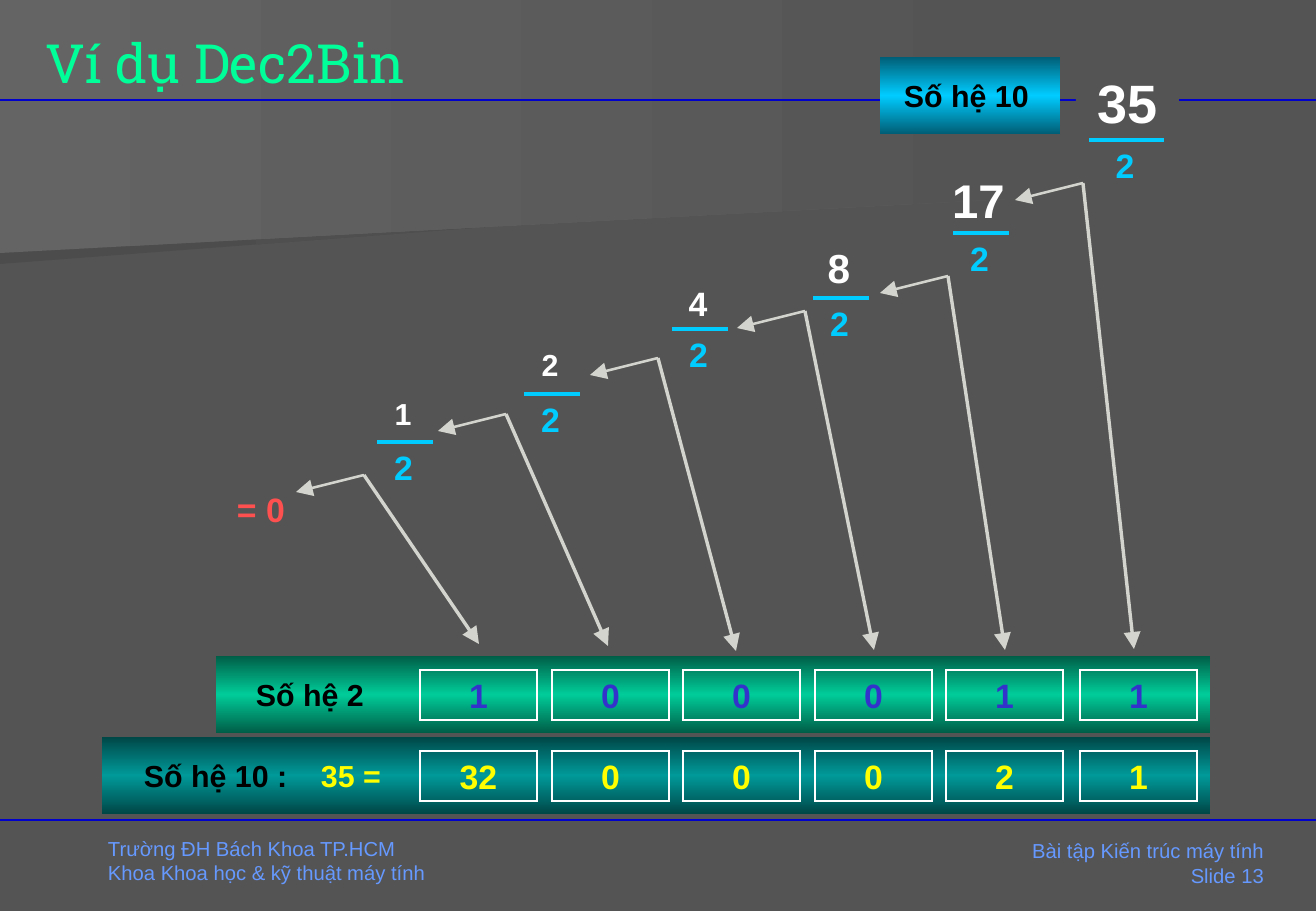
from copy import deepcopy

from pptx import Presentation
from pptx.dml.color import RGBColor
from pptx.enum.shapes import MSO_CONNECTOR, MSO_SHAPE
from pptx.enum.text import MSO_ANCHOR, MSO_AUTO_SIZE, PP_ALIGN
from pptx.oxml.ns import qn
from pptx.util import Pt
from lxml.etree import SubElement

PX = 7526  # EMU per px
WHITE, CYAN, YELLOW, BLACK = "FFFFFF", "00CCFF", "FFFF00", "000000"
color = RGBColor.from_string

prs = Presentation()
prs.slide_width, prs.slide_height = 1316 * PX, 911 * PX
s = prs.slides.add_slide(prs.slide_layouts[5])
s.background.fill.solid()
s.background.fill.fore_color.rgb = color("545454")


def write(text, box, sp=None, size=20, hex=WHITE, font="Arial", bold=True,
          align=PP_ALIGN.CENTER, anchor=MSO_ANCHOR.TOP, inset=(5, 5)):
    x, y, w, h = [v * PX for v in box]
    if sp is None:
        sp = s.shapes.add_textbox(x, y, w, h)
    sp.left, sp.top, sp.width, sp.height = x, y, w, h
    tf = sp.text_frame
    tf.word_wrap, tf.auto_size, tf.vertical_anchor = True, MSO_AUTO_SIZE.NONE, anchor
    tf.margin_left = tf.margin_right = inset[0] * PX
    tf.margin_top = tf.margin_bottom = inset[1] * PX
    for i, row in enumerate(text.split("\n")):
        p = tf.paragraphs[0] if i == 0 else tf.add_paragraph()
        p.alignment = align
        r = p.add_run()
        r.text = row
        r.font.size, r.font.bold, r.font.name = Pt(size), bold, font
        r.font.color.rgb = color(hex)
    return sp


def line(start, end, hex, width, arrow=False):
    c = s.shapes.add_connector(MSO_CONNECTOR.STRAIGHT, *[v * PX for v in start + end])
    c.line.color.rgb = color(hex)
    c.line.width = Pt(width)
    if arrow:
        ln = c._element.spPr.find(qn("a:ln"))
        SubElement(ln, qn("a:tailEnd"), type="triangle", w="lg", len="lg")
    SubElement(c._element.spPr, qn("a:effectLst"))


# Background bands and gradient bars
bands = [
    ([(0, 123), (1026, 123), (1024, 186), (0, 264)], 0, ["4C4C4C", "545454"]),
    ([(0, 0), (1043, 0), (1043, 197), (0, 253)], 0, ["646464", "545454"]),
]
for x, y, w, edge, middle in [
    (880, 57, 180, "005E76", "00CCFF"),
    (216, 656, 994, "005E47", "00CC99"),
    (102, 737, 1108, "004747", "009999"),
]:
    corners = [(x, y), (x + w, y), (x + w, y + 77), (x, y + 77)]
    bands.append((corners, 90, [edge, middle, edge]))
# The rules lie between the background bands and the bars
for i, (corners, angle, stops) in enumerate(bands):
    if i == 2:
        for y in (100, 820):
            line((0, y), (1316, y), "0000CC", 1.5)
    if angle:
        (x, y), (right, bottom) = corners[0], corners[2]
        sp = s.shapes.add_shape(MSO_SHAPE.RECTANGLE, x * PX, y * PX,
                                (right - x) * PX, (bottom - y) * PX)
    else:
        fb = s.shapes.build_freeform(*corners[0], scale=PX)
        fb.add_line_segments(corners[1:], close=True)
        sp = fb.convert_to_shape()
    sp.shadow.inherit = False
    sp.line.fill.background()
    sp.fill.gradient()
    sp.fill.gradient_angle = angle
    gs_list = sp._element.spPr.find(qn("a:gradFill")).find(qn("a:gsLst"))
    if len(stops) == 3:
        gs_list.append(deepcopy(gs_list[0]))
    for n, stop in enumerate(sp.fill.gradient_stops):
        stop.position = n / (len(stops) - 1)
        stop.color.rgb = color(stops[n])

# Title, raised above the bands, and footer
title = write("Ví dụ Dec2Bin", (33, 23, 1245, 77), s.shapes.title, size=32,
              hex="00FF99", font="Roboto Slab", bold=False, align=PP_ALIGN.LEFT,
              anchor=MSO_ANCHOR.MIDDLE, inset=(12, 6))
s.shapes._spTree.append(title._element)
for text, box, align in [
    ("Trường ĐH Bách Khoa TP.HCM\nKhoa Khoa học & kỹ thuật máy tính",
     (96, 830, 391, 61), PP_ALIGN.LEFT),
    ("Bài tập Kiến trúc máy tính\nSlide 13", (930, 833, 346, 60), PP_ALIGN.RIGHT),
]:
    write(text, box, size=12, hex="6699FF", bold=False, align=align,
          anchor=MSO_ANCHOR.MIDDLE, inset=(12, 6))

# Division steps: number, size, box, bar left, bar y, bar width, elbow, digit
steps = [
    ("35", 32, (1076, 65, 103, 77), 1089, 140, 75, (1083, 183), (1134, 649)),
    ("17", 28, (930, 166, 97, 67), 953, 233, 56, (948, 276), (1005, 650)),
    ("8", 24, (808, 238, 62, 58), 813, 298, 56, (805, 311), (874, 650)),
    ("4", 20, (667, 278, 62, 50), 672, 329, 56, (658, 358), (736, 651)),
    ("2", 18, (519, 341, 62, 50), 524, 394, 56, (506, 414), (608, 646)),
    ("1", 18, (372, 390, 62, 50), 377, 442, 56, (364, 475), (479, 644)),
]
for number, size, box, left, bar_y, bar_w, elbow, digit in steps:
    sp = write(number, box, size=size)
    if number == "35":
        sp.fill.solid()
        sp.fill.fore_color.rgb = color("545454")
    write("2", (left, bar_y, bar_w - 3, 41), hex=CYAN)
    line((left, bar_y), (left + bar_w, bar_y), CYAN, 2)
    line(elbow, (elbow[0] - 68, elbow[1] + 17), "D4D4CE", 1.5, arrow=True)
    line(elbow, digit, "D4D4CE", 2, arrow=True)
write("= 0", (210, 484, 102, 70), hex="FF5050")

# Labels on the bars
write("Số hệ 10", (874, 72, 185, 50), size=18, hex=BLACK)
write("Số hệ 2", (236, 671, 148, 45), size=18, hex=BLACK)
sp = write("Số hệ 10 :\t", (114, 752, 296, 45), size=18, hex=BLACK,
           align=PP_ALIGN.LEFT, inset=(30, 5))
sp.text_frame.margin_right = 5 * PX
p = sp.text_frame.paragraphs[0]
tabs = SubElement(p._p.get_or_add_pPr(), qn("a:tabLst"))
SubElement(tabs, qn("a:tab"), pos=str(177 * PX), algn="l")
r = p.add_run()
r.text = "35 ="
r.font.size, r.font.bold, r.font.name = Pt(18), True, "Arial"
r.font.color.rgb = color(YELLOW)

# Binary digits and their place values
cell_lefts = [420, 552, 683, 815, 946, 1080]
for y, hex, values in [
    (670, "3333CC", ["1", "0", "0", "0", "1", "1"]),
    (751, YELLOW, ["32", "0", "0", "0", "2", "1"]),
]:
    for x, value in zip(cell_lefts, values):
        sp = s.shapes.add_shape(MSO_SHAPE.RECTANGLE, 0, 0, PX, PX)
        sp.shadow.inherit = False
        sp.fill.background()
        sp.line.color.rgb = color(WHITE)
        sp.line.width = Pt(1.5)
        SubElement(sp._element.spPr.find(qn("a:ln")), qn("a:miter"), lim="800000")
        write(value, (x, y, 117, 50), sp, hex=hex)

prs.save("out.pptx")
